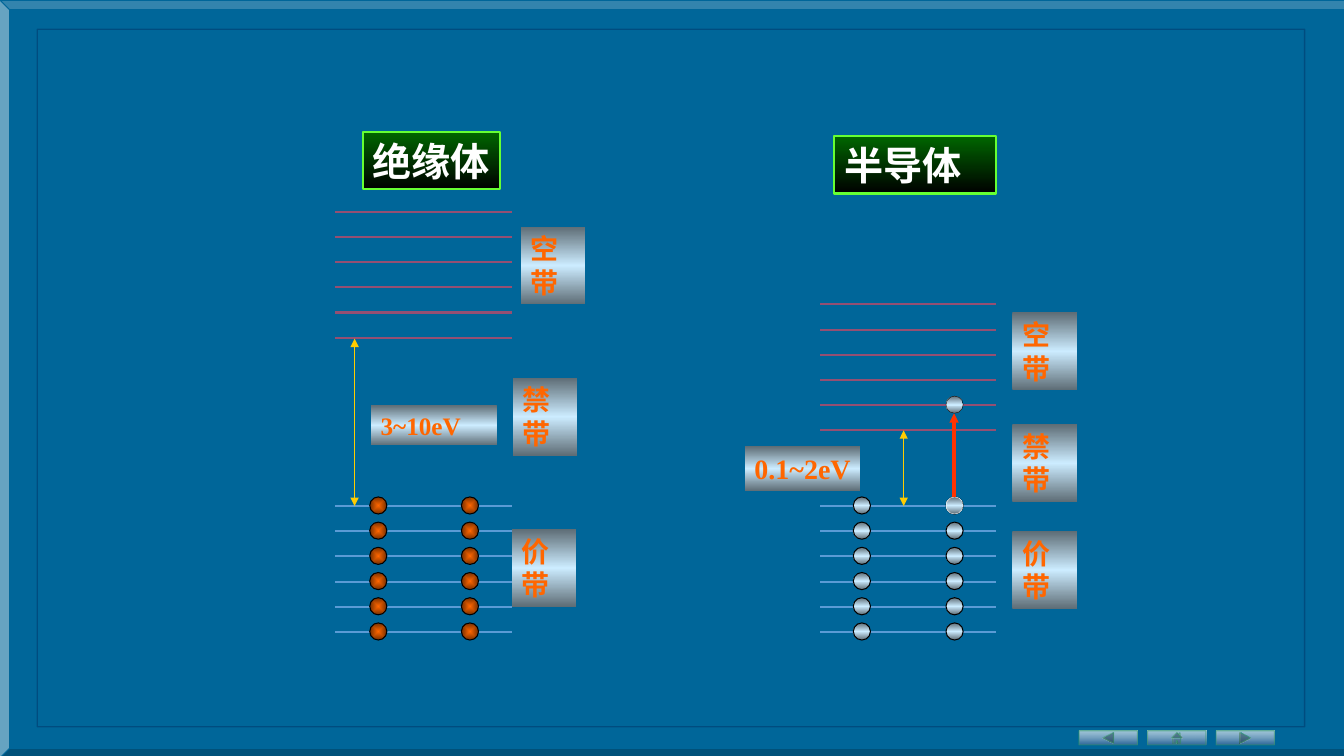
"""Builds a slide comparing the energy bands of an insulator and a semiconductor."""
import pptx
import pptx.dml.color
import pptx.enum.shapes
import pptx.enum.text
import pptx.oxml
import pptx.oxml.ns
import pptx.util
from lxml import etree

PX = 9144
SHAPES = pptx.enum.shapes.MSO_SHAPE
COLOURS = {
    "ground": "006699", "frame": "003366", "button_top": "FFFFFF", "button_base": "336699",
    "button_edge": "339966", "empty_level": "954F72", "valence_level": "5B9BD5",
    "steel": "5E6D76", "ice": "CCECFF", "ember": "FF6600", "ember_dark": "762F00",
    "black": "000000", "white": "FFFFFF", "gap_arrow": "FFCC00", "jump_arrow": "FF3300",
    "title_green": "006600", "title_edge": "66FF33",
}
METAL = [(0, "steel", 100), (50, "ice", 100), (100, "steel", 100)]
EMBER = [(0, "ember", 100), (100, "ember_dark", 100)]
TITLE = [(0, "title_green", 100), (100, "black", 100)]
BUTTON = [(0, "button_top", 62), (100, "button_base", 89)]

presentation = pptx.Presentation()
presentation.slide_width = 1334 * PX
presentation.slide_height = 750 * PX
slide = presentation.slides.add_slide(presentation.slide_layouts[6])


def add_box(preset, box, stops=None, edge=None, width=0.75, edge_alpha=100, centred=False):
    shape = slide.shapes.add_shape(preset, *[length * PX for length in box])
    shape.shadow.inherit = False
    shape.fill.background()
    if stops:
        direction = '<a:lin ang="5400000" scaled="1"/>'
        if centred:
            direction = ('<a:path path="rect"><a:fillToRect l="50000" t="50000" '
                         'r="50000" b="50000"/></a:path>')
        stop_list = "".join(
            f'<a:gs pos="{place * 1000}"><a:srgbClr val="{COLOURS[name]}">'
            f'<a:alpha val="{alpha * 1000}"/></a:srgbClr></a:gs>' for place, name, alpha in stops)
        gradient = pptx.oxml.parse_xml(
            f'<a:gradFill {pptx.oxml.ns.nsdecls("a")} rotWithShape="1">'
            f'<a:gsLst>{stop_list}</a:gsLst>{direction}</a:gradFill>')
        properties = shape._element.spPr
        properties.replace(properties.find(pptx.oxml.ns.qn("a:noFill")), gradient)
    if edge:
        shape.line.color.rgb = pptx.dml.color.RGBColor.from_string(COLOURS[edge])
        shape.line.width = pptx.util.Pt(width)
        if edge_alpha < 100:
            colour = shape.line._ln.find(".//" + pptx.oxml.ns.qn("a:srgbClr"))
            etree.SubElement(colour, pptx.oxml.ns.qn("a:alpha"), val=str(edge_alpha * 1000))
    else:
        shape.line.fill.background()
    return shape


def add_line(start, end, colour, width, arrowheads=()):
    connector = slide.shapes.add_connector(
        pptx.enum.shapes.MSO_CONNECTOR.STRAIGHT, *[length * PX for length in start + end])
    connector.line.color.rgb = pptx.dml.color.RGBColor.from_string(COLOURS[colour])
    connector.line.width = pptx.util.Pt(width)
    for arrowhead in arrowheads:
        etree.SubElement(connector.line._ln, pptx.oxml.ns.qn("a:" + arrowhead), type="triangle")
    etree.SubElement(connector._element.spPr, pptx.oxml.ns.qn("a:effectLst"))


ground = add_box(SHAPES.BEVEL, (0, 0, 1347, 752), edge="ground")
ground.adjustments[0] = 0.013
ground.fill.solid()
ground.fill.fore_color.rgb = pptx.dml.color.RGBColor.from_string(COLOURS["ground"])
add_box(SHAPES.RECTANGLE, (37, 29, 1258, 692), edge="frame", width=1, edge_alpha=50)

buttons = [SHAPES.ACTION_BUTTON_BACK_OR_PREVIOUS, SHAPES.ACTION_BUTTON_HOME,
           SHAPES.ACTION_BUTTON_FORWARD_OR_NEXT]
for position, preset in enumerate(buttons):
    add_box(preset, (1071 + 68 * position, 725, 58, 14), BUTTON, "button_edge", 0, 52)

LEVEL_WIDTH, LEVEL_STEP, LEVEL_COUNT = 175, 25, 6
VALENCE_TOP, ELECTRON = 502, 17
bands = [
    (814, 302, (939, 847), METAL, False),
    (333, 210, (458, 367), EMBER, True),
]
for left, empty_top, electron_lefts, electron_fill, centred in bands:
    for level in range(LEVEL_COUNT):
        empty_y = empty_top + LEVEL_STEP * level
        valence_y = VALENCE_TOP + LEVEL_STEP * level
        add_line((left, empty_y), (left + LEVEL_WIDTH, empty_y), "empty_level", 1.5)
        add_line((left, valence_y), (left + LEVEL_WIDTH, valence_y), "valence_level", 1.5)
        for electron_left in electron_lefts:
            add_box(SHAPES.OVAL, (electron_left, valence_y - 9, ELECTRON, ELECTRON),
                    electron_fill, "black", centred=centred)

for top, edge in [(493, "white"), (393, "black")]:
    add_box(SHAPES.OVAL, (939, top, ELECTRON, ELECTRON), METAL, edge, 0.25)
add_line((947, 493), (947, 410), "jump_arrow", 2.25, ["tailEnd"])
for x, top in [(897, 427), (352, 336)]:
    add_line((x, top), (x, VALENCE_TOP), "gap_arrow", 0.75, ["headEnd", "tailEnd"])

labels = [
    ("绝缘体", (360, 131, 136, 57), 28, 0, TITLE, "title_edge", "white"),
    ("半导体", (828, 135, 161, 57), 28, 10, TITLE, "title_edge", "white"),
    ("3~10eV", (368, 402, 125, 40), 18, 10, METAL, None, "ember"),
    ("0.1~2eV", (739, 443, 115, 44), 20, 0, METAL, None, "ember"),
]
band_labels = [
    ("空带", 517, 225), ("禁带", 509, 375), ("价带", 508, 525),
    ("空带", 1005, 310), ("禁带", 1005, 421), ("价带", 1005, 527),
]
for text, left, top in band_labels:
    labels.append((text, (left, top, 64, 77), 20, 10, METAL, None, "ember"))

for text, box, size, right_margin, stops, edge, colour in labels:
    shape = add_box(SHAPES.RECTANGLE, box, stops, edge, 1.5)
    frame = shape.text_frame
    frame.text = text
    frame.word_wrap = True
    frame.margin_right = right_margin * PX
    frame.auto_size = pptx.enum.text.MSO_AUTO_SIZE.SHAPE_TO_FIT_TEXT
    frame.vertical_anchor = pptx.enum.text.MSO_ANCHOR.TOP
    paragraph = frame.paragraphs[0]
    paragraph.alignment = pptx.enum.text.PP_ALIGN.LEFT
    font = paragraph.runs[0].font
    font.name = "Times New Roman"
    font.size = pptx.util.Pt(size)
    font.bold = True
    font.color.rgb = pptx.dml.color.RGBColor.from_string(COLOURS[colour])

presentation.save("out.pptx")
